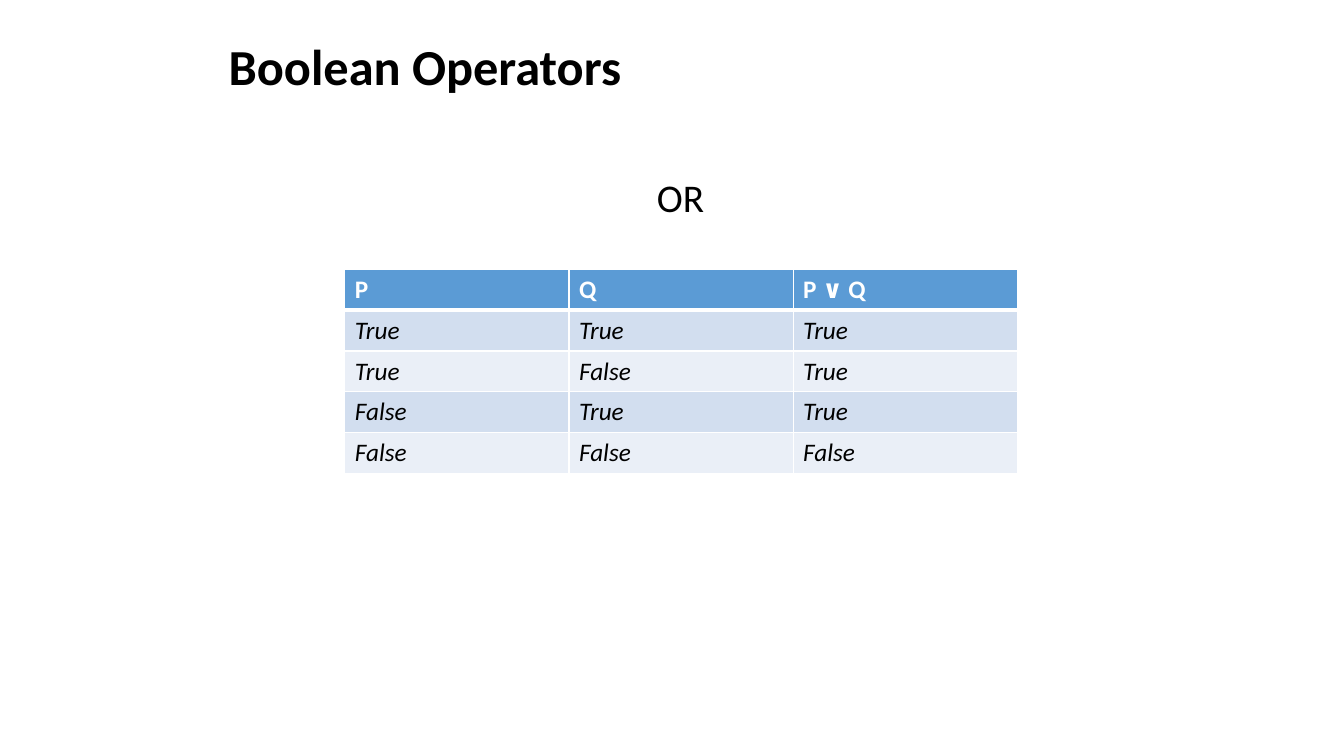
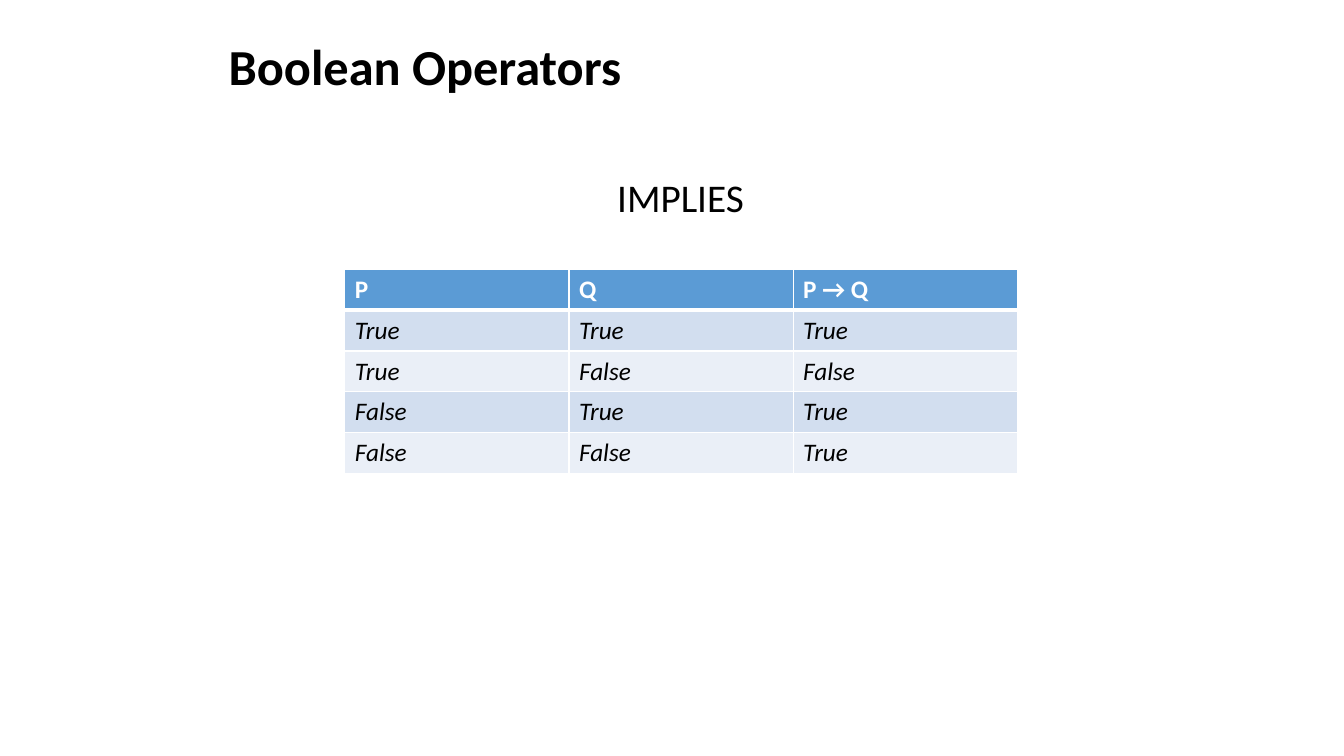
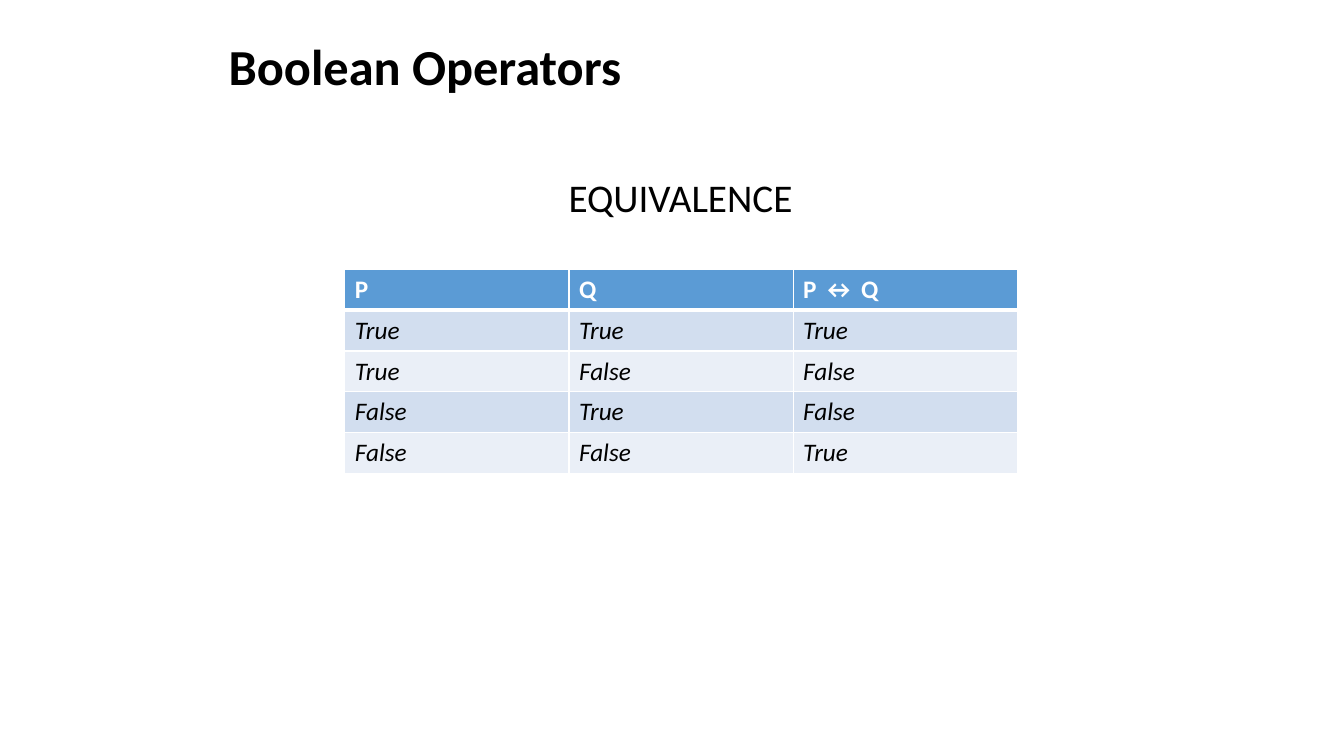
import dataclasses
import itertools

import lxml.etree
import pptx
import pptx.dml.color
import pptx.enum.text
import pptx.oxml.ns
import pptx.util

Inches = pptx.util.Inches
Align = pptx.enum.text.PP_ALIGN
Anchor = pptx.enum.text.MSO_ANCHOR


@dataclasses.dataclass(frozen=True)
class Theme:
    font: str = "Calibri"
    ink: str = "000000"
    paper: str = "FFFFFF"
    head: str = "5B9BD5"
    bands: tuple = ("D2DEEF", "EAEFF7")
    title: int = 36
    label: int = 28
    body: int = 18
    thin: int = 1
    thick: int = 3


THEME = Theme()
TITLE = "Boolean Operators"
TITLE_BOX = (2.17, 0.3, 9, 0.78)
LABEL_BOX = (4.25, 1.67, 5, 0.57)
TABLE_BOX = (3.42, 2.67, 6.67, 2.03)
SLIDES = (
    ("OR", "P ∨ Q", lambda p, q: p or q),
    ("IMPLIES", "P → Q", lambda p, q: not p or q),
    ("EQUIVALENCE", "P ↔ Q", lambda p, q: p == q),
)


def color(value):
    return pptx.dml.color.RGBColor.from_string(value)


def write(para, text, size, ink=THEME.ink, bold=False, italic=False):
    run = para.add_run()
    run.text = text
    font = run.font
    font.name = THEME.font
    font.size = pptx.util.Pt(size)
    font.color.rgb = color(ink)
    font.bold = bold
    font.italic = italic


def add_text(slide, box, text, size, bold=False, align=Align.LEFT,
             anchor=Anchor.TOP, space=1.0):
    frame = slide.shapes.add_textbox(*map(Inches, box)).text_frame
    frame.word_wrap = True
    frame.vertical_anchor = anchor
    para = frame.paragraphs[0]
    para.alignment = align
    para.line_spacing = space
    write(para, text, size, bold=bold)


def add_edge(cell, side, width):
    qn = pptx.oxml.ns.qn
    props = cell._tc.get_or_add_tcPr()
    line = lxml.etree.SubElement(props, qn("a:ln" + side),
                                 w=str(pptx.util.Pt(width)))
    fill = lxml.etree.SubElement(line, qn("a:solidFill"))
    lxml.etree.SubElement(fill, qn("a:srgbClr"), val=THEME.paper)


def style_cell(cell, row, text):
    head = row == 0
    edges = {"L": THEME.thin, "R": THEME.thin,
             "T": THEME.thick if row == 1 else THEME.thin,
             "B": THEME.thick if head else THEME.thin}
    for side, width in edges.items():
        add_edge(cell, side, width)
    cell.fill.solid()
    cell.fill.fore_color.rgb = color(
        THEME.head if head else THEME.bands[(row - 1) % 2])
    write(cell.text_frame.paragraphs[0], text, THEME.body,
          THEME.paper if head else THEME.ink, bold=head, italic=not head)


def add_truth(slide, box, symbol, rule):
    pairs = itertools.product((True, False), repeat=2)
    rows = [("P", "Q", symbol)]
    rows += [(str(p), str(q), str(rule(p, q))) for p, q in pairs]
    left, top, width, height = map(Inches, box)
    table = slide.shapes.add_table(len(rows), len(rows[0]),
                                   left, top, width, height).table
    for r, row in enumerate(rows):
        for c, text in enumerate(row):
            style_cell(table.cell(r, c), r, text)


def add_slide(deck, label, symbol, rule):
    slide = deck.slides.add_slide(deck.slide_layouts[6])
    add_text(slide, TITLE_BOX, TITLE, THEME.title, bold=True,
             anchor=Anchor.MIDDLE, space=0.9)
    add_text(slide, LABEL_BOX, label, THEME.label, align=Align.CENTER)
    add_truth(slide, TABLE_BOX, symbol, rule)


def main():
    deck = pptx.Presentation()
    deck.slide_width = Inches(13.33)
    deck.slide_height = Inches(7.5)
    for label, symbol, rule in SLIDES:
        add_slide(deck, label, symbol, rule)
    deck.save("out.pptx")


if __name__ == "__main__":
    main()
